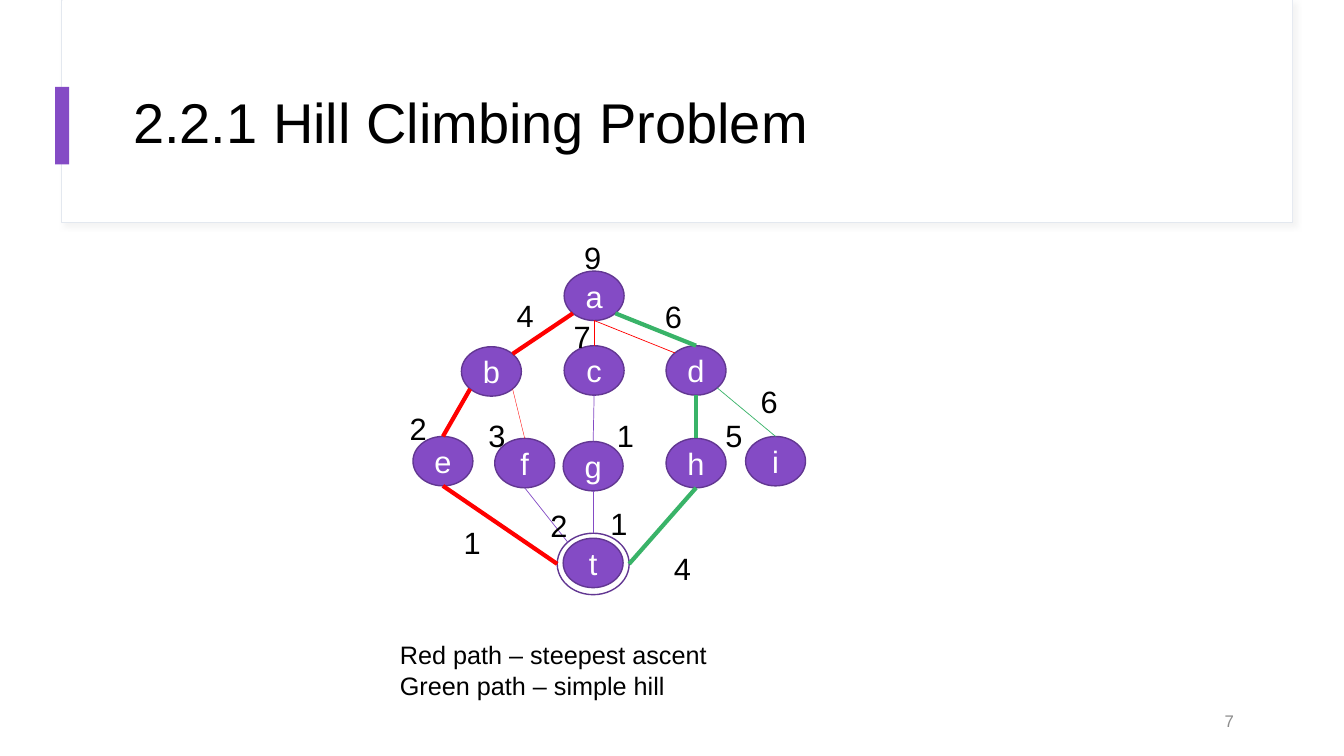
from enum import Enum
from typing import NamedTuple

from lxml.etree import SubElement
from pptx import Presentation
from pptx.dml.color import RGBColor
from pptx.enum.shapes import MSO_CONNECTOR as Connector, MSO_SHAPE as Preset
from pptx.enum.text import MSO_ANCHOR as Anchor, MSO_AUTO_SIZE as AutoSize, PP_ALIGN as Align
from pptx.oxml.ns import qn
from pptx.util import Pt

FONT = "Arial"
PURPLE, DARK_PURPLE = "844BC5", "623792"
RED, GREEN = "FF0000", "39B368"
BLACK, WHITE, GREY = "000000", "FFFFFF", "8C8C8C"
PALE_BLUE, SHADOW = "E3E8EF", "D9D9D9"
THICK, THIN, HAIR = 3, 0.5, 0.25
DIAGONAL = 0.354  # cos(45 degrees) / 2


class Site(Enum):
    """Points on an ellipse outline, as fractions of its width and height."""
    TOP = (0, -0.5)
    TOP_LEFT = (-DIAGONAL, -DIAGONAL)
    TOP_RIGHT = (DIAGONAL, -DIAGONAL)
    LEFT = (-0.5, 0)
    RIGHT = (0.5, 0)
    BOTTOM = (0, 0.5)
    BOTTOM_LEFT = (-DIAGONAL, DIAGONAL)
    BOTTOM_RIGHT = (DIAGONAL, DIAGONAL)


class Node(NamedTuple):
    """An ellipse of the graph, placed by its centre."""
    x: float
    y: float
    width: float = 42.8
    height: float = 35.3

    def point(self, site: Site) -> tuple[float, float]:
        """Return the position of a site on the outline."""
        across, down = site.value
        return self.x + across * self.width, self.y + down * self.height


class Edge(NamedTuple):
    """A line between two nodes."""
    start: str
    leave: Site
    end: str
    arrive: Site
    color: str
    weight: float


class Cost(NamedTuple):
    """A number beside a node or an edge, placed by its centre."""
    text: str
    x: float
    y: float


NODES = {
    "a": Node(424.4, 211.3),
    "b": Node(351, 265.3), "c": Node(424.4, 264.6), "d": Node(497.2, 264.6),
    "e": Node(316.4, 329.4), "f": Node(374.8, 330.8), "g": Node(423.7, 333),
    "h": Node(497.2, 330.8), "i": Node(554, 329.4),
    "t": Node(423.7, 402.1),
}
GOAL_RING = Node(423.7, 402.8, 51.4, 43.9)
ENDS = NODES | {"goal": GOAL_RING}

EDGES = [
    Edge("a", Site.BOTTOM_LEFT, "b", Site.TOP_RIGHT, RED, THICK),
    Edge("a", Site.BOTTOM, "c", Site.TOP, RED, THIN),
    Edge("a", Site.BOTTOM, "d", Site.TOP_LEFT, RED, THIN),
    Edge("a", Site.BOTTOM_RIGHT, "d", Site.TOP, GREEN, THICK),
    Edge("b", Site.BOTTOM_LEFT, "e", Site.TOP, RED, THICK),
    Edge("b", Site.BOTTOM_RIGHT, "f", Site.TOP, RED, HAIR),
    Edge("c", Site.BOTTOM, "g", Site.TOP, PURPLE, THIN),
    Edge("d", Site.BOTTOM, "h", Site.TOP, GREEN, THICK),
    Edge("d", Site.BOTTOM_RIGHT, "i", Site.TOP, GREEN, THIN),
    Edge("e", Site.BOTTOM, "goal", Site.LEFT, RED, THICK),
    Edge("f", Site.BOTTOM, "goal", Site.TOP_LEFT, PURPLE, THIN),
    Edge("g", Site.BOTTOM, "goal", Site.TOP, PURPLE, THIN),
    Edge("h", Site.BOTTOM, "goal", Site.RIGHT, GREEN, THICK),
]
COSTS = [
    Cost("9", 423.4, 184), Cost("4", 375.1, 225), Cost("6", 481, 225.7),
    Cost("7", 415.8, 240.1), Cost("6", 549.4, 286.2), Cost("2", 298.8, 305.6),
    Cost("3", 355, 310.7), Cost("1", 446.8, 310.7), Cost("5", 524.2, 310.7),
    Cost("2", 399.2, 374.8), Cost("1", 442.1, 374), Cost("1", 337.3, 387),
    Cost("4", 487.4, 405.7),
]


def rgb(color: str) -> RGBColor:
    """Turn a hex string into a colour."""
    return RGBColor.from_string(color)


def write(shape, text: str, size: float = 22, color: str = BLACK,
          align: Align = Align.CENTER, spacing: float = 1.0) -> None:
    """Fill a shape with text, one paragraph for each line."""
    frame = shape.text_frame
    frame.word_wrap = True
    frame.vertical_anchor = Anchor.MIDDLE
    for index, line in enumerate(text.split("\n")):
        para = frame.add_paragraph() if index else frame.paragraphs[0]
        para.alignment = align
        para.line_spacing = spacing
        span = para.add_run()
        span.text = line
        span.font.name, span.font.size = FONT, Pt(size)
        span.font.color.rgb = rgb(color)


def add_text(page, text: str, left: float, top: float, width: float,
             height: float, grow: bool = False, **style):
    """Add a text box, which may grow with its text."""
    box = page.shapes.add_textbox(Pt(left), Pt(top), Pt(width), Pt(height))
    write(box, text, **style)
    if grow:
        box.text_frame.auto_size = AutoSize.SHAPE_TO_FIT_TEXT
    return box


def add_preset(page, preset: Preset, left: float, top: float, width: float,
               height: float, fill: str = "", line: str = "", weight: float = 1):
    """Add a preset shape; an empty colour leaves fill or line out."""
    shape = page.shapes.add_shape(preset, Pt(left), Pt(top), Pt(width), Pt(height))
    shape.shadow.inherit = False
    if fill:
        shape.fill.solid()
        shape.fill.fore_color.rgb = rgb(fill)
    else:
        shape.fill.background()
    if line:
        shape.line.color.rgb = rgb(line)
        shape.line.width = Pt(weight)
    else:
        shape.line.fill.background()
    return shape


def add_shadow(shape) -> None:
    """Give a shape a faint shadow to the lower right."""
    effects = shape.element.spPr.find(qn("a:effectLst"))
    shadow = SubElement(effects, qn("a:outerShdw"), blurRad=str(Pt(4)),
                        dist=str(Pt(3)), dir="2700000", algn="tl", rotWithShape="0")
    tint = SubElement(shadow, qn("a:srgbClr"), val=SHADOW)
    SubElement(tint, qn("a:alpha"), val="30000")


def add_node(page, node: Node, name: str = "", fill: str = "") -> None:
    """Draw an ellipse of the graph with its name."""
    shape = add_preset(page, Preset.OVAL, node.x - node.width / 2,
                       node.y - node.height / 2, node.width, node.height,
                       fill=fill, line=DARK_PURPLE)
    if name:
        write(shape, name, color=WHITE)


def add_edge(page, edge: Edge) -> None:
    """Draw the line between two nodes."""
    ends = ENDS[edge.start].point(edge.leave) + ENDS[edge.end].point(edge.arrive)
    line = page.shapes.add_connector(Connector.STRAIGHT, *map(Pt, ends))
    line.line.color.rgb = rgb(edge.color)
    line.line.width = Pt(edge.weight)
    SubElement(line.element.spPr, qn("a:effectLst"))


def add_cost(page, cost: Cost, width: float = 30, height: float = 34) -> None:
    """Write a number around its centre."""
    add_text(page, cost.text, cost.x - width / 2, cost.y - height / 2,
             width, height, grow=True)


deck = Presentation()
deck.slide_width, deck.slide_height = Pt(960), Pt(540)
page = deck.slides.add_slide(deck.slide_layouts[6])

header = add_preset(page, Preset.RECTANGLE, 44.2, 0, 879, 159, WHITE, PALE_BLUE, 0.75)
add_shadow(header)
add_preset(page, Preset.RECTANGLE, 44.6, 0, 878.4, 158.4, WHITE)
add_preset(page, Preset.RECTANGLE, 39.4, 62, 10, 55.4, PURPLE)
add_text(page, "2.2.1 Hill Climbing Problem", 88, 43.2, 800.6, 93,
         size=40, align=Align.LEFT, spacing=0.9)
add_text(page, "7", 672.5, 500.4, 216, 28.8, size=12, color=GREY, align=Align.RIGHT)

for name, node in NODES.items():
    add_node(page, node, name, PURPLE)
add_node(page, GOAL_RING)
for edge in EDGES:
    add_edge(page, edge)
for cost in COSTS:
    add_cost(page, cost)
add_text(page, "Red path – steepest ascent\nGreen path – simple hill",
         278.6, 453, 318.2, 51, grow=True, size=18, align=Align.JUSTIFY)

deck.save("out.pptx")
